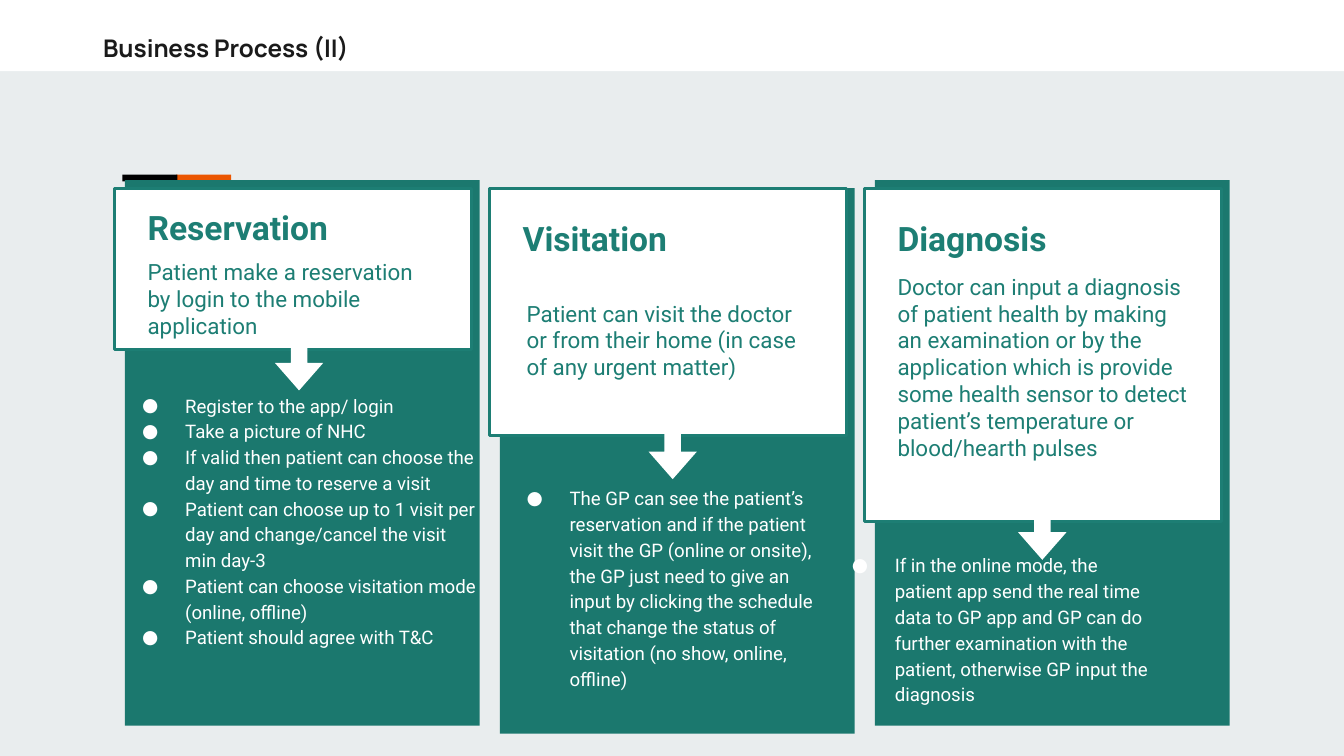
from lxml import etree
from pptx import Presentation, util as u
from pptx.dml.color import RGBColor
from pptx.enum import shapes as sh
from pptx.oxml import ns

PX = 9144  # EMU per px, 100 px to the inch
TEAL, DEEP, WHITE = "1D7E74", "1B786E", "FFFFFF"
KIND = sh.MSO_SHAPE

# Each column: top of its panel, card height, then the (x, y) offsets of
# title, summary, arrow and bullets from the card's corner
COLS = [
    dict(top=-6, high=120, title=(15, 4), note=(15, 42), arrow=(118, 113),
         list=(-7, 141), wide=287, head="Reservation",
         text="Patient make a reservation by login to the mobile application",
         items=["Register to the app/ login",
                "Take a picture of NHC",
                "If valid then patient can choose the day and time to reserve a visit",
                "Patient can choose up to 1 visit per day and change/cancel the visit min day-3",
                "Patient can choose visitation mode (online, offline)",
                "Patient should agree with T&C"]),
    dict(top=0, high=184, title=(15, 12), note=(18, 73), arrow=(117, 179),
         list=(0, 210), wide=264, head="Visitation",
         text="Patient can visit the doctor or from their home (in case of any urgent matter)",
         items=["The GP can see the patient’s reservation and if the patient visit the GP "
                "(online or onsite), the GP just need to give an input by clicking the "
                "schedule that change the status of visitation (no show, online, offline)"]),
    dict(top=-6, high=248, title=(15, 12), note=(15, 53), arrow=(113, 239),
         list=(-37, 260), wide=264, head="Diagnosis",
         text="Doctor can input a diagnosis of patient health by making an examination or by "
              "the application which is provide some health sensor to detect patient’s "
              "temperature or blood/hearth pulses",
         items=["If in the online mode, the patient app send the real time data to GP app and "
                "GP can do further examination with the patient, otherwise GP input the "
                "diagnosis"]),
]


def rgb(code):
    return RGBColor.from_string(code)


def emu(*nums):
    return [u.Emu(n * PX) for n in nums]


def block(slide, box, fill, line=None, kind=KIND.RECTANGLE):
    shape = slide.shapes.add_shape(kind, *emu(*box))
    shape.shadow.inherit = False
    shape.fill.solid()
    shape.fill.fore_color.rgb = rgb(fill)
    if line:
        shape.line.color.rgb = rgb(line)
        shape.line.width = u.Pt(1.5)
    else:
        shape.line.fill.background()
    return shape


def write(slide, box, lines, size, color, face="Roboto", bold=False):
    frame = slide.shapes.add_textbox(*emu(*box)).text_frame
    frame.word_wrap = True
    frame.margin_left = frame.margin_right = u.Inches(0.1)
    frame.margin_top = frame.margin_bottom = u.Inches(0.1)
    frame.text = "\n".join(lines)
    for para in frame.paragraphs:
        font = para.font
        font.name, font.size, font.bold = face, u.Pt(size), bold
        font.color.rgb = rgb(color)
    return frame


def bullet(para, size, color):
    para.line_spacing = 1.15
    props = para._p.get_or_add_pPr()
    props.set("marL", str(50 * PX))
    props.set("indent", str(-32 * PX))
    tint = etree.Element(ns.qn("a:buClr"))
    etree.SubElement(tint, ns.qn("a:srgbClr"), val=color)
    marks = [tint,
             etree.Element(ns.qn("a:buSzPts"), val=str(size * 100)),
             etree.Element(ns.qn("a:buFont"), typeface="Roboto"),
             etree.Element(ns.qn("a:buChar"), char="●")]
    for mark in marks:
        props.find(ns.qn("a:defRPr")).addprevious(mark)


def header(slide, x, y, w, h):
    block(slide, (x, y, w, h), WHITE)
    write(slide, (x + 67, y + 15, 570, 85), ["Business Process (II)"], 13,
          "1A1A1A", "Manrope", True)


def accent(slide, x, y):
    for i, color in enumerate(["EB5600", "000000"]):
        block(slide, (x + (1 - i) * 40, y, 41, 5), color)


def column(slide, x, y, col):
    def at(key, w, h):
        dx, dy = col[key]
        return x + dx, y + dy, w, h

    # Panel and card
    block(slide, (x + 8, y + col["top"], 264, 406), DEEP)
    block(slide, (x, y, 266, col["high"]), WHITE, TEAL)
    write(slide, at("note", 236, 60), [col["text"]], 12, TEAL)
    write(slide, at("title", 236, 67), [col["head"]], 18, TEAL, bold=True)

    # Arrow down to the details
    arrow = block(slide, at("arrow", 39, 36), WHITE, kind=KIND.RIGHT_ARROW)
    arrow.rotation = 90
    arrow.adjustments[0], arrow.adjustments[1] = 0.34, 0.57

    # Details
    frame = write(slide, at("list", col["wide"], 110), col["items"], 10, WHITE)
    for para in frame.paragraphs:
        bullet(para, 10, WHITE)


def main():
    deck = Presentation()
    deck.slide_width = u.Inches(10)
    deck.slide_height = deck.slide_width * 9 // 16
    slide = deck.slides.add_slide(deck.slide_layouts[6])
    back = slide.background.fill
    back.solid()
    back.fore_color.rgb = rgb("E9EDEE")

    header(slide, 0, 0, 1000, 53)
    accent(slide, 91, 130)
    for i, col in enumerate(COLS):
        column(slide, 85 + i * 279, 140, col)
    deck.save("out.pptx")


if __name__ == "__main__":
    main()
